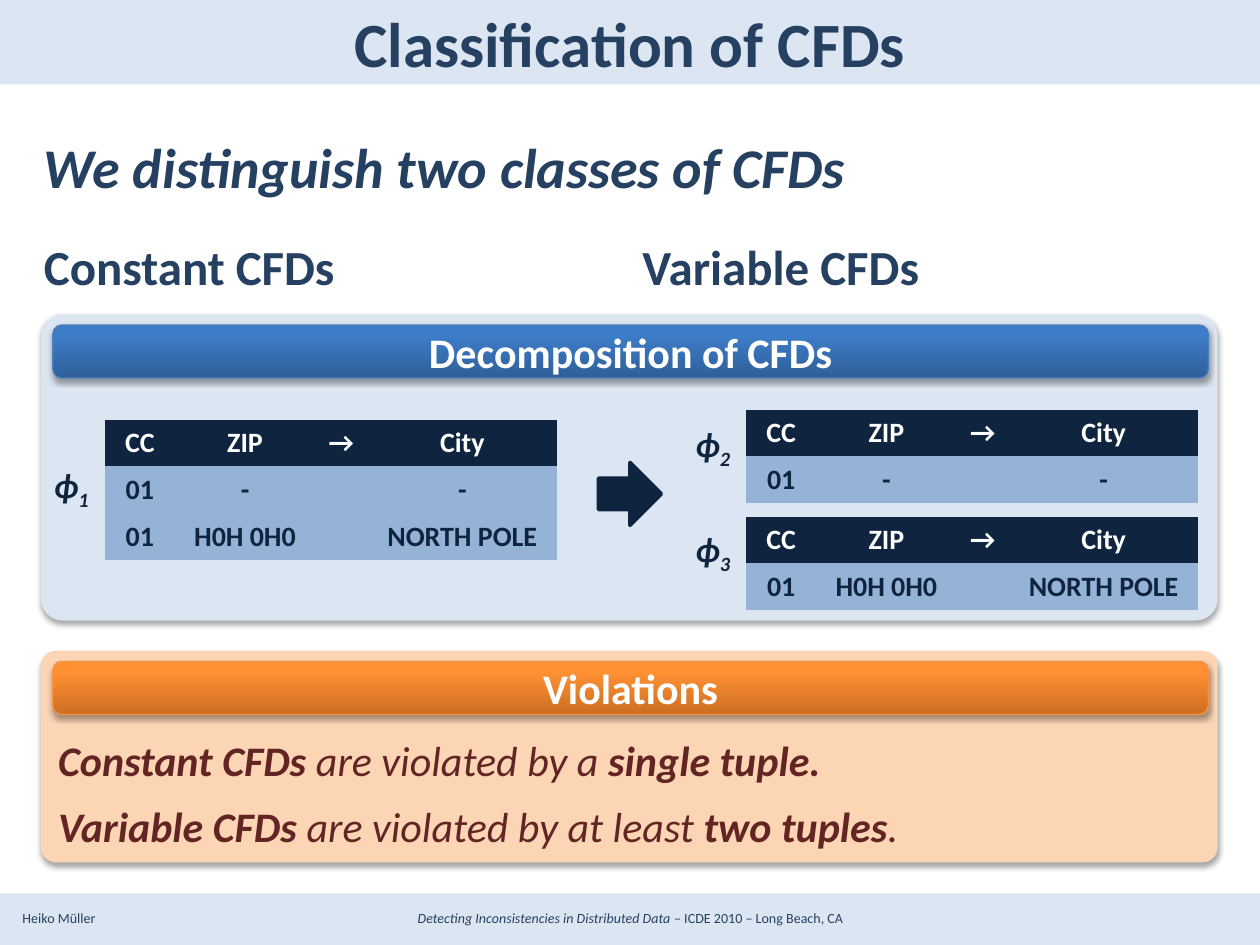
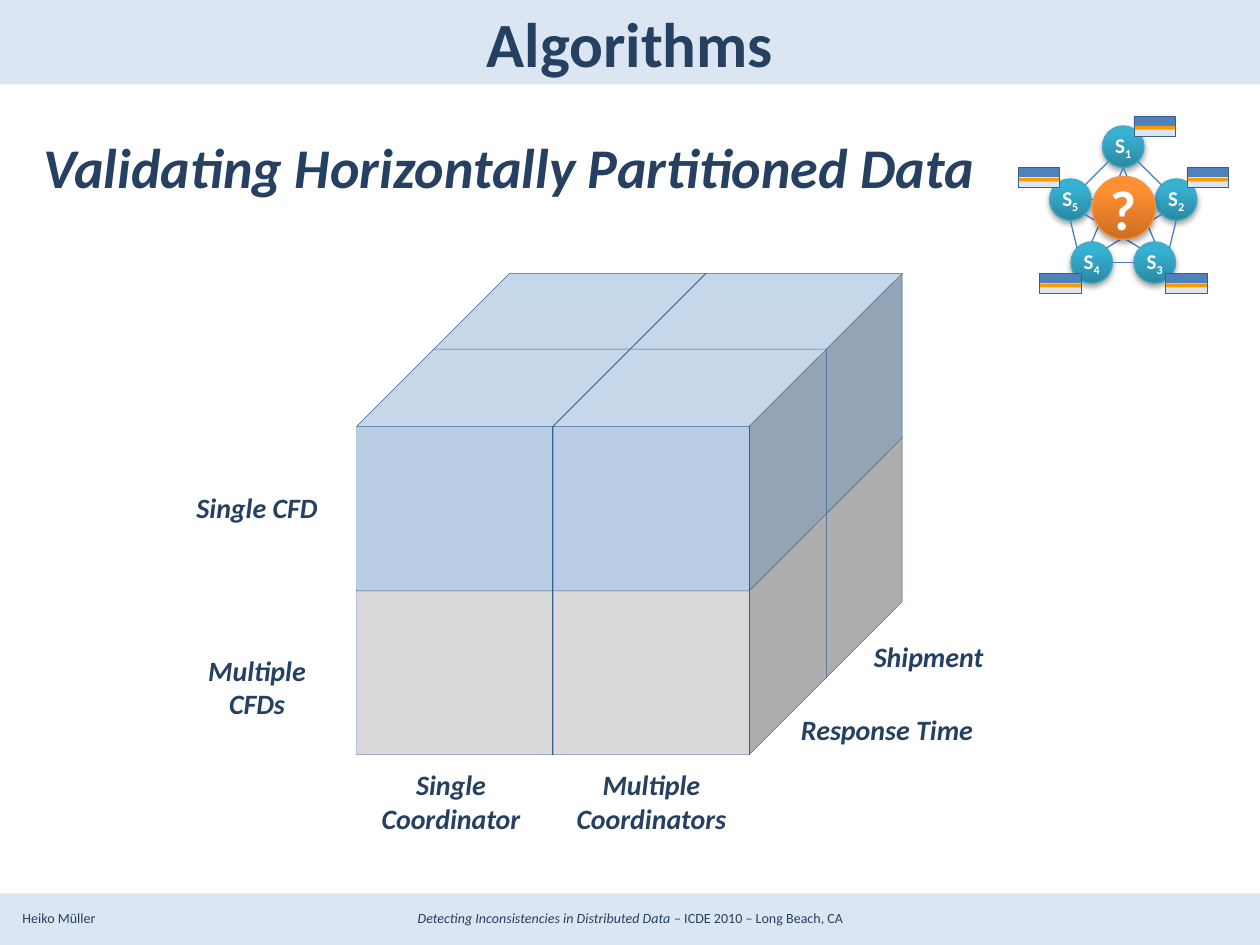
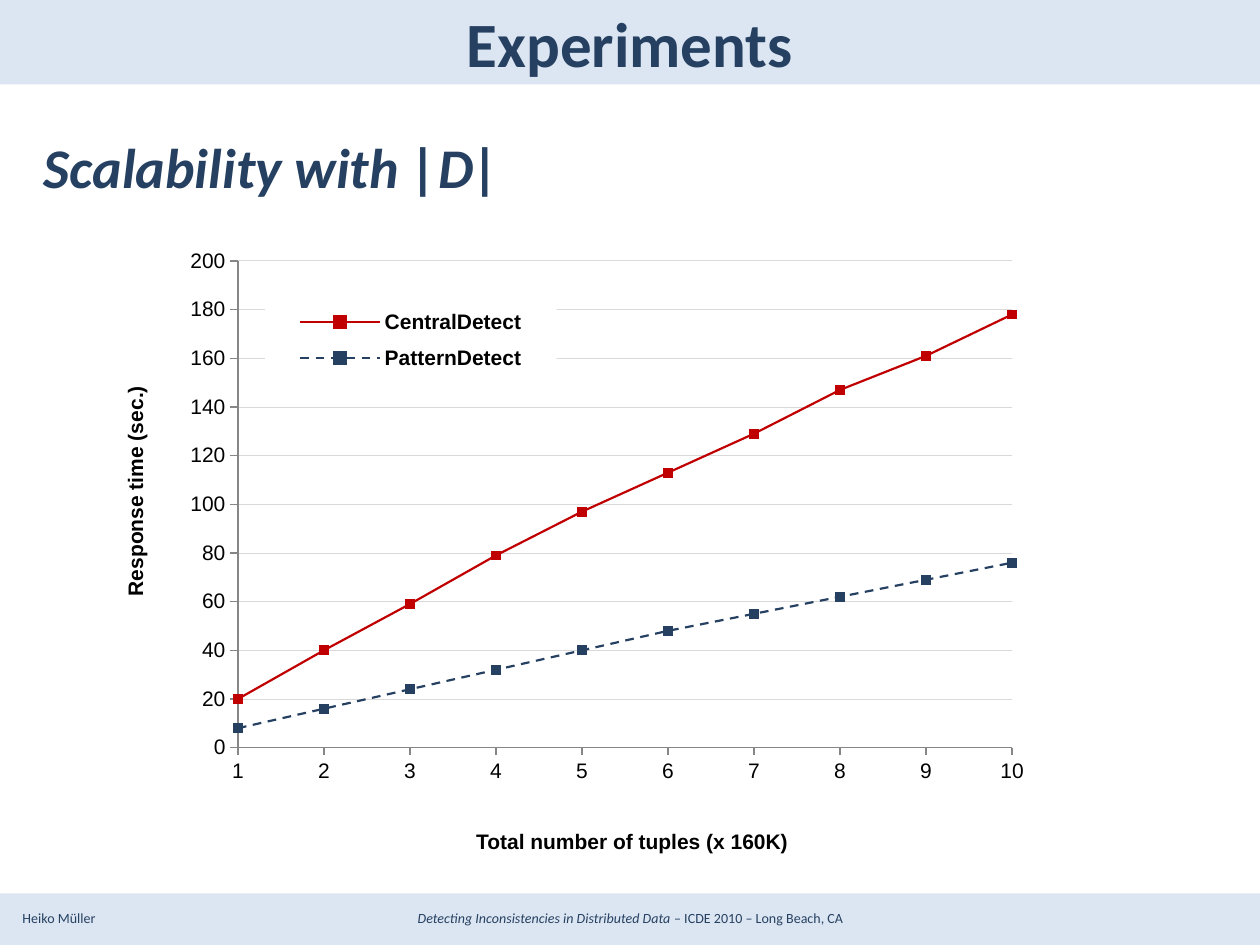
from dataclasses import dataclass
from itertools import product
from math import cos, radians, sin

from lxml import etree
from pptx import Presentation
from pptx.chart.data import CategoryChartData
from pptx.dml.color import RGBColor
from pptx.enum.chart import XL_CHART_TYPE, XL_LEGEND_POSITION, XL_MARKER_STYLE, XL_TICK_MARK
from pptx.enum.dml import MSO_LINE
from pptx.enum.shapes import MSO_CONNECTOR, MSO_SHAPE
from pptx.enum.text import MSO_ANCHOR, MSO_AUTO_SIZE, PP_ALIGN
from pptx.oxml import parse_xml
from pptx.oxml.ns import nsdecls, qn
from pptx.util import Inches, Pt

LEFT, CENTER = PP_ALIGN.LEFT, PP_ALIGN.CENTER
TOP, MIDDLE, BOTTOM = MSO_ANCHOR.TOP, MSO_ANCHOR.MIDDLE, MSO_ANCHOR.BOTTOM
RECTANGLE, ROUNDED, OVAL = MSO_SHAPE.RECTANGLE, MSO_SHAPE.ROUNDED_RECTANGLE, MSO_SHAPE.OVAL
CUBE, RIGHT_ARROW = MSO_SHAPE.CUBE, MSO_SHAPE.RIGHT_ARROW
PLAIN_TABLE_STYLE = "{2D5ABB26-0587-4C30-8999-92F81FD0307C}"
TITLE_ONLY = 5


@dataclass(frozen=True)
class Theme:
    font: str = "Calibri"
    chart_font: str = "Arial"
    navy: str = "254061"
    dark: str = "0F243E"
    pale: str = "DCE6F2"
    white: str = "FFFFFF"
    black: str = "000000"
    row: str = "95B3D7"
    peach: str = "FCD5B5"
    maroon: str = "632523"
    blue: str = "4F81BD"
    link: str = "4B7EBC"
    flag_edge: str = "3A5F8C"
    stripe: str = "FF9900"
    cube_blue: str = "B9CDE5"
    cube_gray: str = "D9D9D9"
    cube_edge: str = "376092"
    red: str = "C00000"
    axis: str = "868686"
    grid: str = "D9D9D9"
    # Gradients run from bottom to top; the last colour is the outline.
    blue_gradient: tuple = ("2F5F99", "3D7CC7", "4B7EBC")
    orange_gradient: tuple = ("CC6E20", "FF9034", "F69240")
    teal_gradient: tuple = ("2A88A2", "37B1D2", "46AAC5")
    title: int = 36
    heading: int = 32
    subheading: int = 28
    band: int = 24
    symbol: int = 20
    label: int = 16
    small: int = 12
    footer: int = 8


THEME = Theme()

AUTHOR = "Heiko Müller"
TALK = [("Detecting Inconsistencies in Distributed Data ", {"italic": True}),
        "– ICDE 2010 – Long Beach, CA"]

CLASSES = ["Constant CFDs", "Variable CFDs"]
COLUMN_WIDTHS = [0.56, 1.11, 0.42, 1.5]
ROW_HEIGHT = 0.37
HEADER = ["CC", "ZIP", "→", "City"]
WILDCARD = ["01", "-", "", "-"]
NORTH_POLE = ["01", "H0H 0H0", "", "NORTH POLE"]
# subscript, label box, table corner, rows
TABLEAUX = [
    ("1", (0.33, 3.33, 0.5, 1.08), (0.83, 3.33), [WILDCARD, NORTH_POLE]),
    ("2", (5.42, 3.17, 0.5, 0.75), (5.92, 3.25), [WILDCARD]),
    ("3", (5.42, 4, 0.5, 0.75), (5.92, 4.1), [NORTH_POLE]),
]
STRONG = {"bold": True}
VIOLATIONS = [
    [("Constant CFDs ", STRONG), "are violated by a ", ("single tuple.", STRONG)],
    [("Variable CFDs ", STRONG), "are violated by at least ", ("two tuples", STRONG), "."],
]

NODE_SIZE = 0.33
SITES = {"1": (8.75, 1), "2": (9.17, 1.42), "3": (9, 1.92), "4": (8.5, 1.92), "5": (8.33, 1.42)}
DIRECTIONS = ["E", "SE", "S", "SW", "W", "NW", "N", "NE"]
SITE_LINKS = [
    ("1", "SE", "2", "NW"), ("2", "S", "3", "NE"), ("4", "E", "3", "W"),
    ("4", "NW", "5", "S"), ("5", "NE", "1", "SW"), ("5", "E", "2", "W"),
    ("5", "SE", "3", "NW"), ("2", "SW", "4", "NE"), ("4", "N", "1", "S"),
    ("1", "S", "3", "N"),
]
FRAGMENTS = [(8.08, 1.33), (9, 0.92), (9.42, 1.33), (9.25, 2.17), (8.25, 2.17)]

CUBE_LABELS = [
    ("Single Coordinator", (2.83, 6.07, 1.5, 0.58)),
    ("Multiple Coordinators", (4.42, 6.07, 1.5, 0.58)),
    ("Single CFD", (1.33, 3.82, 1.42, 0.42)),
    ("Multiple CFDs", (1.33, 5.24, 1.42, 0.42)),
    ("Shipment", (6.83, 5, 1.08, 0.42)),
    ("Response Time", (6.25, 5.58, 1.58, 0.42)),
]
CUBE_ORIGIN = (2.83, 2.77)
CUBE_SIZE = (2.17, 1.92)
COLUMN_STEP, DEPTH_STEP, LEVEL_STEP = 1.56, 0.6, 1.3

TUPLE_COUNTS = [str(count) for count in range(1, 11)]
# name, response times, colour, dash
DETECTORS = [
    ("CentralDetect", [20, 40, 59, 79, 97, 113, 129, 147, 161, 178], THEME.red, None),
    ("PatternDetect", [8, 16, 24, 32, 40, 48, 55, 62, 69, 76], THEME.navy, MSO_LINE.DASH),
]
PLOT_LAYOUT = (0.12, 0.05, 0.85, 0.8)
LEGEND_LAYOUT = (0.15, 0.11, 0.32, 0.14)


def rgb(value):
    return RGBColor.from_string(value)


def format_font(font, size, color, bold=False, italic=False, name=THEME.font):
    font.name, font.size, font.bold, font.italic = name, Pt(size), bold, italic
    font.color.rgb = rgb(color)


def write_text(frame, paragraphs, *, size, color=THEME.navy, bold=False, italic=False,
               name=THEME.font, align=LEFT, anchor=TOP, wrap=True, gap=0, inset=None):
    """Fill a frame; a paragraph is a string or a list of strings and (text, format) runs."""
    frame.auto_size = MSO_AUTO_SIZE.NONE
    frame.word_wrap, frame.vertical_anchor = wrap, anchor
    if inset is not None:
        frame.margin_left = frame.margin_right = Inches(inset)
        frame.margin_top = frame.margin_bottom = Inches(inset)
    for index, runs in enumerate(paragraphs):
        paragraph = frame.add_paragraph() if index else frame.paragraphs[0]
        paragraph.alignment = align
        if index:
            paragraph.space_before = Pt(gap)
        for part in [runs] if isinstance(runs, str) else runs:
            text, changes = (part, {}) if isinstance(part, str) else part
            style = {"bold": bold, "italic": italic, "subscript": False, **changes}
            run = paragraph.add_run()
            run.text = text
            format_font(run.font, size, color, style["bold"], style["italic"], name)
            if style["subscript"]:
                run.font._element.set("baseline", "-25000")


def add_text(slide, box, paragraphs, **style):
    shape = slide.shapes.add_textbox(*map(Inches, box))
    write_text(shape.text_frame, paragraphs, **style)
    return shape


def add_box(slide, kind, box, fill=None, line=None, width=0.75, adjust=None, shadow=False):
    """Add a preset shape; a tuple as fill is a gradient with its outline colour."""
    shape = slide.shapes.add_shape(kind, *map(Inches, box))
    shape.shadow.inherit = False
    if adjust is not None:
        shape.adjustments[0] = adjust
    if isinstance(fill, tuple):
        *colors, line = fill
        shape.fill.gradient()
        shape.fill.gradient_angle = 90
        for stop, position, color in zip(shape.fill.gradient_stops, (0, 0.8), colors):
            stop.position, stop.color.rgb = position, rgb(color)
    elif fill:
        shape.fill.solid()
        shape.fill.fore_color.rgb = rgb(fill)
    else:
        shape.fill.background()
    if line:
        shape.line.color.rgb, shape.line.width = rgb(line), Pt(width)
    else:
        shape.line.fill.background()
    if shadow:
        shape._element.spPr.find(qn("a:effectLst")).append(parse_xml(
            f'<a:outerShdw {nsdecls("a")} blurRad="40000" dist="23000" dir="5400000" '
            'rotWithShape="0"><a:srgbClr val="000000"><a:alpha val="35000"/></a:srgbClr>'
            '</a:outerShdw>'))
    return shape


def add_link(slide, start, end):
    link = slide.shapes.add_connector(MSO_CONNECTOR.STRAIGHT, *map(Inches, start + end))
    link.line.color.rgb, link.line.width = rgb(THEME.link), Pt(0.75)
    etree.SubElement(link._element.spPr, qn("a:effectLst"))


def add_slide(presentation, title, heading):
    """Add a slide with the shared title, white body, footer and heading."""
    slide = presentation.slides.add_slide(presentation.slide_layouts[TITLE_ONLY])
    placeholder = slide.shapes.title
    placeholder.left, placeholder.top = Inches(0.5), Inches(0)
    placeholder.width, placeholder.height = Inches(9), Inches(0.67)
    write_text(placeholder.text_frame, [title], size=THEME.title, bold=True,
               align=CENTER, anchor=MIDDLE)
    add_text(slide, (0.08, 7.17, 1, 0.24), [AUTHOR], size=THEME.footer)
    add_text(slide, (0.17, 7.17, 9.67, 0.24), [TALK], size=THEME.footer, align=CENTER)
    add_box(slide, RECTANGLE, (0, 0.67, 10, 6.42), THEME.white)
    add_text(slide, (0.25, 1, 9.5, 0.67), [heading], size=THEME.heading, bold=True, italic=True)
    return slide


def add_panel(slide, top, height, fill, heading, gradient):
    panel = add_box(slide, ROUNDED, (0.33, top, 9.33, height), fill, fill,
                    adjust=0.07, shadow=True)
    band = add_box(slide, ROUNDED, (0.42, top + 0.08, 9.17, 0.42), gradient, shadow=True)
    write_text(band.text_frame, [heading], size=THEME.band, color=THEME.white, bold=True,
               align=CENTER, anchor=MIDDLE)
    return panel


def add_tableau(slide, corner, rows):
    rows = [HEADER] + rows
    size = (sum(COLUMN_WIDTHS), ROW_HEIGHT * len(rows))
    table = slide.shapes.add_table(len(rows), len(HEADER), *map(Inches, corner + size)).table
    table._tbl.tblPr.find(qn("a:tableStyleId")).text = PLAIN_TABLE_STYLE
    for column, width in zip(table.columns, COLUMN_WIDTHS):
        column.width = Inches(width)
    for row_index, row in enumerate(rows):
        table.rows[row_index].height = Inches(ROW_HEIGHT)
        fill, color = (THEME.row, THEME.dark) if row_index else (THEME.dark, THEME.white)
        for column_index, text in enumerate(row):
            cell = table.cell(row_index, column_index)
            cell.fill.solid()
            cell.fill.fore_color.rgb = rgb(fill)
            cell.vertical_anchor = MIDDLE
            paragraph = cell.text_frame.paragraphs[0]
            paragraph.alignment = CENTER
            if text:
                run = paragraph.add_run()
                run.text = text
                format_font(run.font, THEME.label, color, bold=True)
            else:
                etree.SubElement(paragraph._p, qn("a:endParaRPr"), sz=str(THEME.label * 100))


def build_classification(presentation):
    slide = add_slide(presentation, "Classification of CFDs", "We distinguish two classes of CFDs")
    for left, name in zip((0.25, 5), CLASSES):
        add_text(slide, (left, 1.83, 4.75, 0.58), [name], size=THEME.subheading, bold=True)
    violations = add_panel(slide, 5.17, 1.67, THEME.peach, "Violations", THEME.orange_gradient)
    write_text(violations.text_frame, VIOLATIONS, size=THEME.band, color=THEME.maroon,
               italic=True, anchor=BOTTOM, gap=9)
    add_panel(slide, 2.5, 2.42, THEME.pale, "Decomposition of CFDs", THEME.blue_gradient)
    add_box(slide, RIGHT_ARROW, (4.75, 3.67, 0.5, 0.5), THEME.dark, THEME.dark, width=2)
    for subscript, label_box, corner, rows in TABLEAUX:
        add_text(slide, label_box, [["ϕ", (subscript, {"subscript": True})]], size=THEME.symbol,
                 color=THEME.dark, bold=True, italic=True, anchor=MIDDLE)
        add_tableau(slide, corner, rows)


def rim_point(site, direction):
    angle = radians(45 * DIRECTIONS.index(direction))
    left, top = SITES[site]
    radius = NODE_SIZE / 2
    return left + radius + radius * cos(angle), top + radius + radius * sin(angle)


def add_fragment(slide, left, top):
    width, half = 0.33, 0.08
    add_box(slide, RECTANGLE, (left, top, width, half), THEME.blue, THEME.white, 0.25)
    add_box(slide, RECTANGLE, (left, top + half, width, half), THEME.pale, THEME.white, 0.25)
    add_box(slide, RECTANGLE, (left, top + half, width, 0.03), THEME.stripe)
    add_box(slide, RECTANGLE, (left, top, width, 2 * half), None, THEME.flag_edge, 0.25)


def add_site_network(slide):
    node_text = {"color": THEME.white, "bold": True, "align": CENTER, "anchor": MIDDLE,
                 "wrap": False, "inset": 0}
    for number, corner in SITES.items():
        node = add_box(slide, OVAL, corner + (NODE_SIZE, NODE_SIZE), THEME.teal_gradient,
                       shadow=True)
        write_text(node.text_frame, [["S", (number, {"subscript": True})]],
                   size=THEME.small, **node_text)
    for start, start_side, end, end_side in SITE_LINKS:
        add_link(slide, rim_point(start, start_side), rim_point(end, end_side))
    question = add_box(slide, OVAL, (8.67, 1.4, 0.5, 0.5), THEME.orange_gradient, shadow=True)
    write_text(question.text_frame, ["?"], size=THEME.heading, **node_text)
    for corner in FRAGMENTS:
        add_fragment(slide, *corner)


def build_algorithms(presentation):
    slide = add_slide(presentation, "Algorithms", "Validating Horizontally Partitioned Data")
    add_site_network(slide)
    for text, box in CUBE_LABELS:
        add_text(slide, box, [text], size=THEME.label, bold=True, italic=True,
                 align=CENTER, anchor=MIDDLE)
    # Lower level first, then back before front, so nearer cubes cover the others.
    for level, depth, column in product((1, 0), (1, 0), (0, 1)):
        left = CUBE_ORIGIN[0] + column * COLUMN_STEP + depth * DEPTH_STEP
        top = CUBE_ORIGIN[1] + level * LEVEL_STEP - depth * DEPTH_STEP
        add_box(slide, CUBE, (left, top) + CUBE_SIZE,
                THEME.cube_gray if level else THEME.cube_blue, THEME.cube_edge, 0.25, 0.32)


def manual_layout(bounds, inner=False):
    target = '<c:layoutTarget val="inner"/>' if inner else ""
    values = "".join(f'<c:{tag} val="{value}"/>' for tag, value in zip("xywh", bounds))
    return parse_xml(f'<c:layout {nsdecls("c")}><c:manualLayout>{target}<c:xMode val="edge"/>'
                     f'<c:yMode val="edge"/>{values}</c:manualLayout></c:layout>')


def replace_layout(parent, layout, position):
    for old in parent.findall(qn("c:layout")):
        parent.remove(old)
    parent.insert(position, layout)


def add_legend(chart):
    chart.has_legend = True
    legend = chart.legend
    legend.position, legend.include_in_layout = XL_LEGEND_POSITION.RIGHT, True
    format_font(legend.font, THEME.small, THEME.black, bold=True, name=THEME.chart_font)
    element = legend._element
    replace_layout(element, manual_layout(LEGEND_LAYOUT), 1)
    element.find(qn("c:txPr")).addprevious(parse_xml(
        f'<c:spPr {nsdecls("c", "a")}><a:solidFill><a:srgbClr val="{THEME.white}"/>'
        '</a:solidFill></c:spPr>'))


def start_lines_on_axis(value_axis):
    element = value_axis._element
    for old in element.findall(qn("c:crossBetween")):
        element.remove(old)
    element.find(qn("c:majorUnit")).addprevious(
        parse_xml(f'<c:crossBetween {nsdecls("c")} val="midCat"/>'))


def add_response_chart(slide):
    data = CategoryChartData()
    data.categories = TUPLE_COUNTS
    for name, times, *_ in DETECTORS:
        data.add_series(name, times)
    box = map(Inches, (1.02, 1.83, 7.23, 4.83))
    chart = slide.shapes.add_chart(XL_CHART_TYPE.LINE_MARKERS, *box, data).chart
    chart.has_title = False
    format_font(chart.font, THEME.small, THEME.black, name=THEME.chart_font)
    for axis in (chart.category_axis, chart.value_axis):
        axis.major_tick_mark = XL_TICK_MARK.OUTSIDE
        axis.format.line.color.rgb = rgb(THEME.axis)
        format_font(axis.tick_labels.font, THEME.small, THEME.black, name=THEME.chart_font)
    values = chart.value_axis
    values.minimum_scale, values.maximum_scale, values.major_unit = 0, 200, 20
    values.has_major_gridlines = True
    grid = values.major_gridlines.format.line
    grid.color.rgb, grid.width = rgb(THEME.grid), Pt(0.5)
    start_lines_on_axis(values)
    plot = chart.plots[0]
    plot.vary_by_categories = False
    for series, (_, _, color, dash) in zip(plot.series, DETECTORS):
        series.smooth = False
        line, marker = series.format.line, series.marker
        line.color.rgb, line.width = rgb(color), Pt(1.25)
        if dash:
            line.dash_style = dash
        marker.style, marker.size = XL_MARKER_STYLE.SQUARE, 5
        marker.format.fill.solid()
        marker.format.fill.fore_color.rgb = rgb(color)
        marker.format.line.fill.background()
    replace_layout(chart._chartSpace.chart.plotArea, manual_layout(PLOT_LAYOUT, inner=True), 0)
    add_legend(chart)


def build_experiments(presentation):
    slide = add_slide(presentation, "Experiments", "Scalability with |D|")
    add_response_chart(slide)
    axis_text = {"size": THEME.small, "color": THEME.black, "bold": True,
                 "name": THEME.chart_font, "wrap": False}
    add_text(slide, (3.68, 6.53, 2.71, 0.3), ["Total number of tuples (x 160K)"], **axis_text)
    time_label = add_text(slide, (0.13, 3.74, 1.88, 0.3), ["Response time (sec.)"], **axis_text)
    time_label.rotation = 270


def main():
    presentation = Presentation()
    presentation.slide_width, presentation.slide_height = Inches(10), Inches(7.5)
    background = presentation.slide_master.background.fill
    background.solid()
    background.fore_color.rgb = rgb(THEME.pale)
    build_classification(presentation)
    build_algorithms(presentation)
    build_experiments(presentation)
    presentation.save("out.pptx")


if __name__ == "__main__":
    main()
